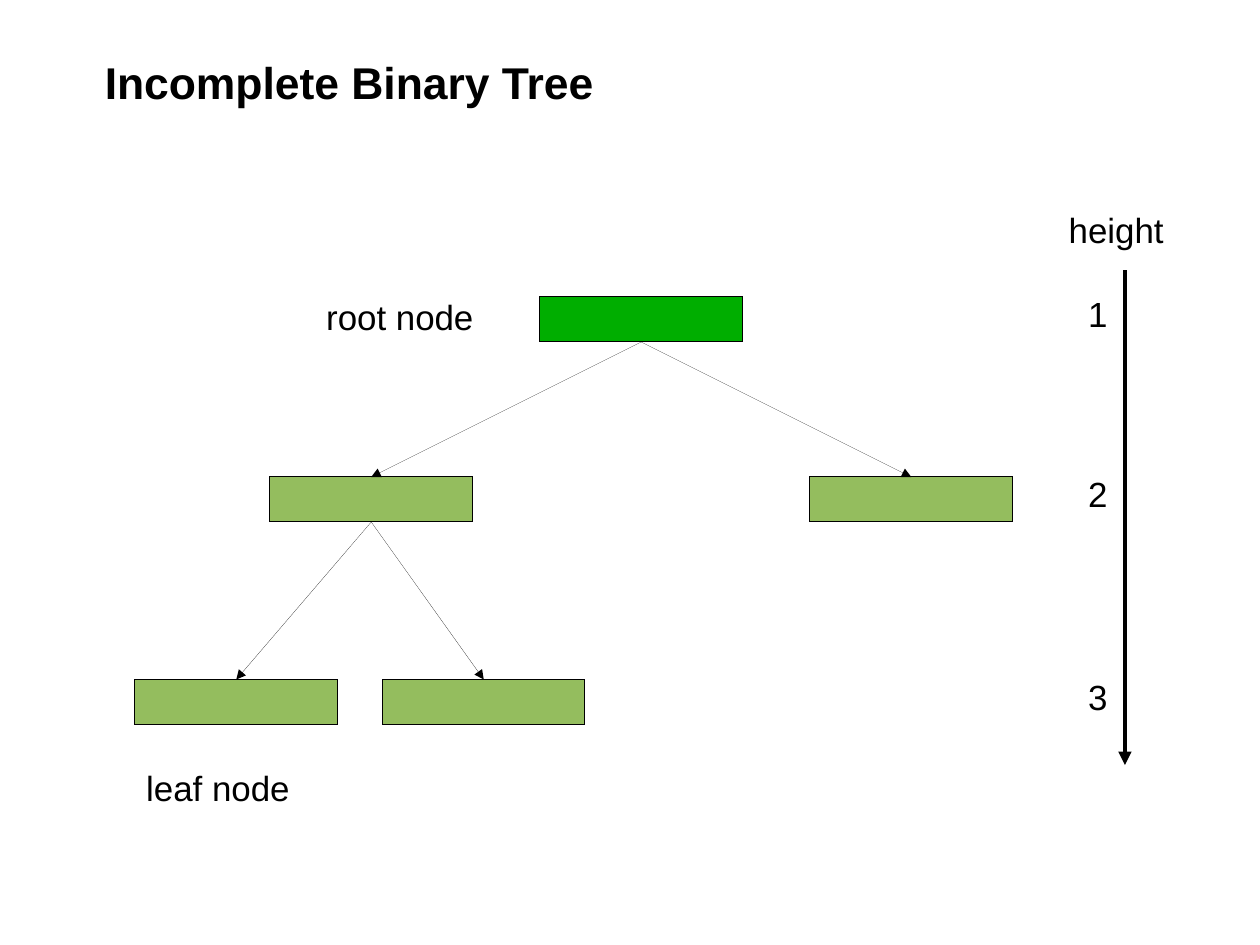
from dataclasses import dataclass

from lxml.etree import SubElement
from pptx import Presentation
from pptx.dml.color import RGBColor
from pptx.enum.shapes import MSO_CONNECTOR as Connector, MSO_SHAPE as Preset
from pptx.enum.text import MSO_AUTO_SIZE as AutoSize
from pptx.oxml.ns import qn
from pptx.shapes.autoshape import Shape
from pptx.shapes.connector import Connector as ConnectorShape
from pptx.slide import Slide
from pptx.util import Cm, Pt


@dataclass(frozen=True)
class Theme:
    font: str = "Arial"
    ink: RGBColor = RGBColor(0x00, 0x00, 0x00)
    root: RGBColor = RGBColor(0x00, 0xAE, 0x00)
    child: RGBColor = RGBColor(0x94, 0xBD, 0x5E)
    title_size: int = 28
    label_size: int = 22
    hairline: float = 0.01
    axis_line: float = 2.83


@dataclass(frozen=True)
class Node:
    name: str
    left: float
    level: int
    parent: str | None = None


@dataclass(frozen=True)
class Label:
    text: str
    left: float
    top: float
    width: float
    height: float = 1.12
    size: int = Theme.label_size
    bold: bool = False
    wrap: bool = True


THEME = Theme()
NODE_WIDTH, NODE_HEIGHT = 4.5, 1
LEVEL_TOPS = {1: 6.6, 2: 10.6, 3: 15.1}
BOTTOM, TOP = 2, 0

NODES = [
    Node("root", 12, 1),
    Node("left", 6, 2, "root"),
    Node("right", 18, 2, "root"),
    Node("left leaf", 3, 3, "left"),
    Node("right leaf", 8.5, 3, "left"),
]
LABELS = [
    Label("Incomplete Binary Tree", 2.08, 1.09, 11.4, 1.35,
          THEME.title_size, bold=True, wrap=False),
    Label("root node", 7, 6.45, 4.06),
    Label("leaf node", 3, 16.9, 4.5),
    Label("height", 23.5, 4.5, 4.06),
    *(Label(str(level), 23.93, top - 0.22, 1.57) for level, top in LEVEL_TOPS.items()),
]


def add_node(slide: Slide, node: Node) -> Shape:
    shape = slide.shapes.add_shape(
        Preset.RECTANGLE, Cm(node.left), Cm(LEVEL_TOPS[node.level]),
        Cm(NODE_WIDTH), Cm(NODE_HEIGHT))
    shape.shadow.inherit = False
    shape.fill.solid()
    shape.fill.fore_color.rgb = THEME.child if node.parent else THEME.root
    shape.line.color.rgb = THEME.ink
    shape.line.width = Pt(THEME.hairline)
    return shape


def add_arrow(slide: Slide, start: tuple[float, float], end: tuple[float, float],
              width: float) -> ConnectorShape:
    arrow = slide.shapes.add_connector(
        Connector.STRAIGHT, *(Cm(value) for value in (*start, *end)))
    arrow.line.color.rgb = THEME.ink
    arrow.line.width = Pt(width)
    properties = arrow.element.spPr
    SubElement(properties.find(qn("a:ln")), qn("a:tailEnd"), type="triangle")
    SubElement(properties, qn("a:effectLst"))
    return arrow


def add_label(slide: Slide, label: Label) -> None:
    box = slide.shapes.add_textbox(
        Cm(label.left), Cm(label.top), Cm(label.width), Cm(label.height))
    frame = box.text_frame
    frame.word_wrap = label.wrap
    frame.auto_size = AutoSize.SHAPE_TO_FIT_TEXT
    run = frame.paragraphs[0].add_run()
    run.text = label.text
    run.font.name = THEME.font
    run.font.size = Pt(label.size)
    run.font.bold = label.bold
    run.font.color.rgb = THEME.ink


def add_tree(slide: Slide) -> None:
    """Draw every node, then join each child to its parent."""
    shapes = {node.name: add_node(slide, node) for node in NODES}
    for node in NODES:
        if node.parent:
            edge = add_arrow(slide, (0, 0), (1, 1), THEME.hairline)
            edge.begin_connect(shapes[node.parent], BOTTOM)
            edge.end_connect(shapes[node.name], TOP)


def main() -> None:
    presentation = Presentation()
    presentation.slide_width, presentation.slide_height = Cm(28), Cm(21)
    slide = presentation.slides.add_slide(presentation.slide_layouts[6])
    add_tree(slide)
    add_arrow(slide, (25, 6), (25, 17), THEME.axis_line)
    for label in LABELS:
        add_label(slide, label)
    presentation.save("out.pptx")


if __name__ == "__main__":
    main()
